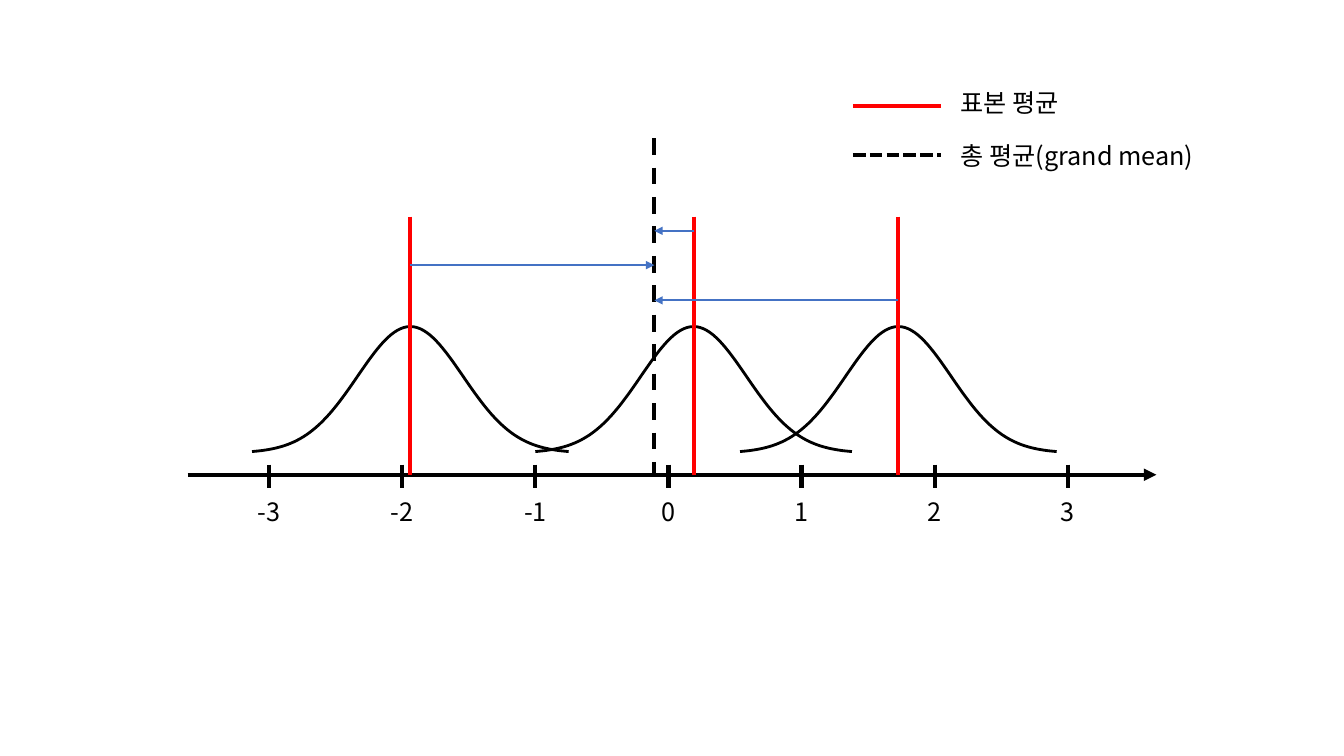
from math import exp

from lxml import etree
from pptx import Presentation
from pptx.dml.color import RGBColor
from pptx.enum.dml import MSO_LINE
from pptx.enum.shapes import MSO_CONNECTOR
from pptx.enum.text import MSO_AUTO_SIZE, PP_ALIGN
from pptx.oxml.ns import qn
from pptx.util import Inches, Pt

STRAIGHT = MSO_CONNECTOR.STRAIGHT
DASH, SHORT = MSO_LINE.DASH, MSO_LINE.SQUARE_DOT
LEFT, CENTER = PP_ALIGN.LEFT, PP_ALIGN.CENTER
FIT = MSO_AUTO_SIZE.SHAPE_TO_FIT_TEXT

BLACK = RGBColor(0, 0, 0)
RED = RGBColor(0xFF, 0, 0)
BLUE = RGBColor(0x44, 0x72, 0xC4)
FONT = "Noto Sans CJK KR"

# Content: sample means with the height of their arrow, ticks, legend
MEANS = [(4.07, 2.63), (6.88, 2.29), (8.91, 2.98)]
TICKS = range(-3, 4)
LEGEND = [
    # text, line height, text top, text width, colour, dash
    ("표본 평균", 1.05, 0.82, 1.3, RED, None),
    ("총 평균(grand mean)", 1.54, 1.34, 2.6, BLACK, SHORT),
]

# Layout in inches
AXIS = 4.71
GRAND = 6.49
ZERO, STEP = 6.63, 1.32
PEAK, DEPTH = 3.24, 1.24
HALF, PARTS = 1.57, 98

deck = Presentation()
deck.slide_width, deck.slide_height = Inches(13.33), Inches(7.5)
slide = deck.slides.add_slide(deck.slide_layouts[6])
shapes = slide.shapes


def add_line(x1, y1, x2, y2, color=BLACK, width=3, dash=None, arrow=False):
    item = shapes.add_connector(
        STRAIGHT, Inches(x1), Inches(y1), Inches(x2), Inches(y2))
    item.line.color.rgb = color
    item.line.width = Pt(width)
    if dash:
        item.line.dash_style = dash
    if arrow:
        ln = item.line._get_or_add_ln()
        etree.SubElement(ln, qn("a:tailEnd"), type="triangle")
    etree.SubElement(item._element.spPr, qn("a:effectLst"))


def add_text(text, x, y, width, align=LEFT, size=18, color=BLACK):
    box = shapes.add_textbox(Inches(x), Inches(y), Inches(width), Inches(0.4))
    frame = box.text_frame
    frame.word_wrap = False
    frame.auto_size = FIT
    para = frame.paragraphs[0]
    para.alignment = align
    run = para.add_run()
    run.text = text
    run.font.size = Pt(size)
    run.font.color.rgb = color
    run.font.name = FONT
    etree.SubElement(run.font._element, qn("a:ea"), typeface=FONT)


def add_bell(mean):
    """Draw a normal curve out to three standard deviations."""
    points = []
    for i in range(PARTS + 1):
        z = 6 * i / PARTS - 3
        drop = (1 - exp(-z * z / 2)) / (1 - exp(-4.5))
        points.append((Inches(mean + HALF * z / 3),
                       Inches(PEAK + DEPTH * drop)))
    pen = shapes.build_freeform(*points[0])
    pen.add_line_segments(points[1:], close=False)
    bell = pen.convert_to_shape()
    bell.shadow.inherit = False
    bell.fill.background()
    bell.line.color.rgb = BLACK
    bell.line.width = Pt(2)


# Axis and curves
add_line(1.86, AXIS, 11.47, AXIS, arrow=True)
for mean, _ in MEANS:
    add_bell(mean)

# Sample means, grand mean and the arrows between them
for mean, _ in MEANS:
    add_line(mean, 2.15, mean, AXIS, color=RED)
add_line(GRAND, 1.37, GRAND, AXIS, dash=DASH)
for mean, level in MEANS:
    add_line(mean, level, GRAND, level, color=BLUE, width=1.5, arrow=True)

# Ticks and their numbers
for tick in TICKS:
    x = ZERO + STEP * tick
    width = 0.44 if tick < 0 else 0.34
    add_line(x, 4.61, x, 4.84)
    add_text(str(tick), x - width / 2, 4.87, width, align=CENTER)

# Legend
for text, y, top, width, color, dash in LEGEND:
    add_line(8.46, y, 9.33, y, color=color, dash=dash)
    add_text(text, 9.43, top, width)

deck.save("out.pptx")
